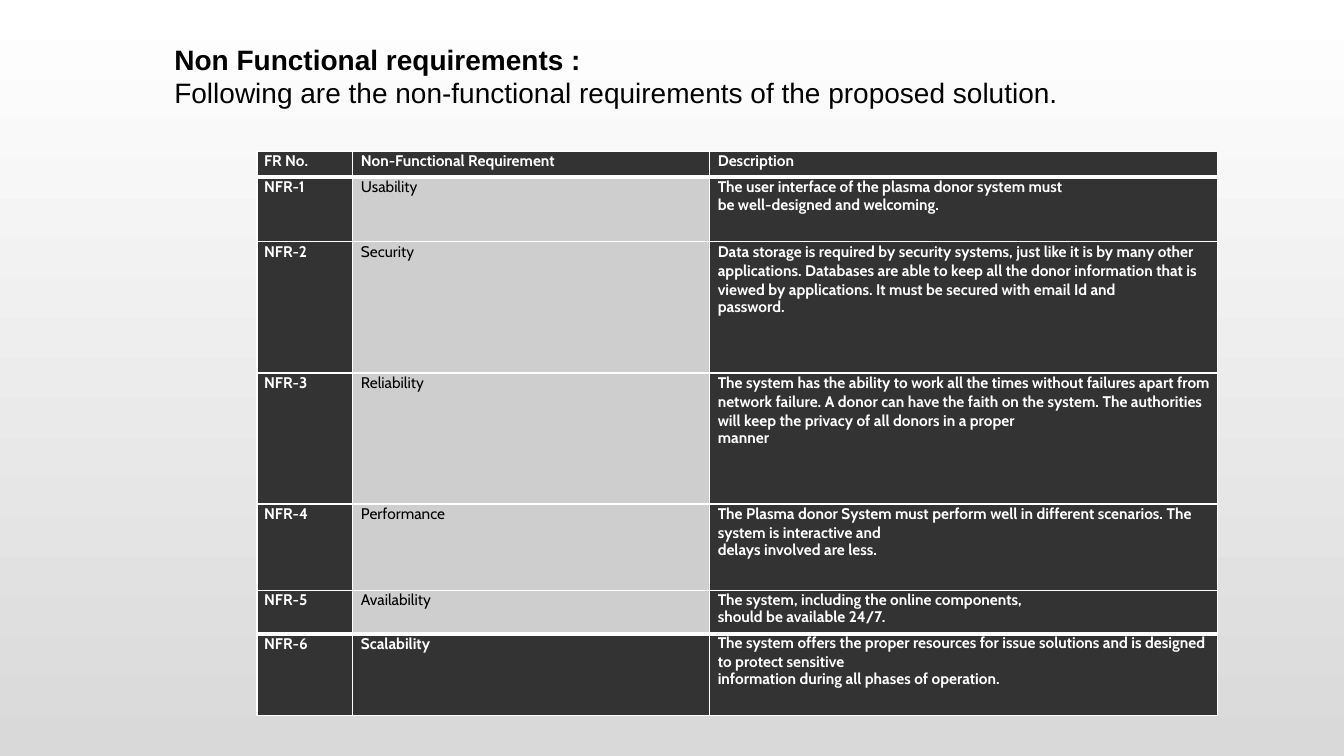
from pptx import Presentation
from pptx.dml.color import RGBColor
from pptx.enum.text import MSO_ANCHOR
from pptx.oxml import parse_xml
from pptx.oxml.ns import nsdecls
from pptx.util import Pt

WHITE = RGBColor(0xFF, 0xFF, 0xFF)
BLACK = RGBColor(0, 0, 0)
DARK = RGBColor(0x33, 0x33, 0x33)
LIGHT = RGBColor(0xCE, 0xCE, 0xCE)
SMOKE = RGBColor(0xD9, 0xD9, 0xD9)

WIDTHS = [68.4, 254.9, 362.9]
HEIGHTS = [18.7, 46.1, 93.6, 93.6, 61.9, 31, 58.3]
INDENTS = [5, 5.8, 5.8]
LEAD, TAIL = 13.7, 12.4

# Each row: number, requirement, lines of the description
ROWS = [
    ("FR No.", "Non-Functional Requirement", ["Description"]),
    ("NFR-1", "Usability",
     ["The user interface of the plasma donor system must",
      "be well-designed and welcoming."]),
    ("NFR-2", "Security",
     ["Data storage is required by security systems, just like it is by many "
      "other applications. Databases are able to keep all the donor "
      "information that is viewed by applications. It must be secured with "
      "email Id and",
      "password."]),
    ("NFR-3", "Reliability",
     ["The system has the ability to work all the times without failures "
      "apart from network failure. A donor can have the faith on the system. "
      "The authorities will keep the privacy of all donors in a proper",
      "manner"]),
    ("NFR-4", "Performance",
     ["The Plasma donor System must perform well in different scenarios. "
      "The system is interactive and",
      "delays involved are less."]),
    ("NFR-5", "Availability",
     ["The system, including the online components,",
      "should be available 24/7."]),
    ("NFR-6", "Scalability",
     ["The system offers the proper resources for issue solutions and is "
      "designed to protect sensitive",
      "information during all phases of operation."]),
]
LAST = len(ROWS) - 1
SPACING = {5: Pt(13.3), LAST: 0.98}  # first description line, where it differs


def write(para, text, size=11, font="Cabin", color=WHITE, bold=True,
          space=None, indent=0):
    """Put formatted text in a paragraph."""
    run = para.add_run()
    run.text = text
    run.font.size = Pt(size)
    run.font.name = font
    run.font.bold = bold
    run.font.color.rgb = color
    para.line_spacing = space
    if indent:
        props = para._p.get_or_add_pPr()
        props.set("marL", str(Pt(indent)))
        props.set("indent", "0")


def edge(cell, top, bottom):
    """Draw white borders round a cell."""
    props = cell._tc.get_or_add_tcPr()
    for side, width in zip("LRTB", (1, 1, top, bottom)):
        props.append(parse_xml(
            f'<a:ln{side} {nsdecls("a")} w="{Pt(width)}"><a:solidFill>'
            f'<a:srgbClr val="{WHITE}"/></a:solidFill></a:ln{side}>'))


def fill_cell(cell, row, col, lines):
    """Style one cell and write its lines."""
    plain = col == 1 and 0 < row < LAST
    edge(cell, 3 if row in (1, LAST) else 1, 3 if row in (0, LAST - 1) else 1)
    cell.fill.solid()
    cell.fill.fore_color.rgb = LIGHT if plain else DARK
    cell.margin_left = cell.margin_right = 0
    cell.margin_top = cell.margin_bottom = 0
    frame = cell.text_frame
    for i, line in enumerate(lines):
        para = frame.add_paragraph() if i else frame.paragraphs[0]
        space = Pt(TAIL) if i else Pt(LEAD)
        if col == 2 and i == 0:
            space = SPACING.get(row, space)
        write(para, line, color=BLACK if plain else WHITE, bold=not plain,
              space=space, indent=INDENTS[col])


def add_grid(slide):
    """Add the table of requirements."""
    table = slide.shapes.add_table(
        len(ROWS), len(WIDTHS), Pt(183.6), Pt(108),
        Pt(sum(WIDTHS)), Pt(sum(HEIGHTS))).table
    table.first_row = table.horz_banding = False
    for col, width in zip(table.columns, WIDTHS):
        col.width = Pt(width)
    for r, (code, name, lines) in enumerate(ROWS):
        table.rows[r].height = Pt(HEIGHTS[r])
        for c, texts in enumerate(([code], [name], lines)):
            fill_cell(table.cell(r, c), r, c, texts)


def add_title(slide):
    """Add the heading and its lead sentence."""
    box = slide.shapes.add_textbox(Pt(117.4), Pt(24.5), Pt(1412.6), Pt(77.8))
    frame = box.text_frame
    frame.word_wrap = True
    frame.vertical_anchor = MSO_ANCHOR.TOP
    frame.margin_top = Pt(5.5)
    write(frame.paragraphs[0], "Non Functional requirements :",
          size=20, font="Arial", color=BLACK)
    write(frame.add_paragraph(),
          "Following are the non-functional requirements of the proposed "
          "solution.", size=20, font="Arial", color=BLACK, bold=False)


def shade(slide):
    """Fade the background from grey at the foot to white at the top."""
    fill = slide.background.fill
    fill.gradient()
    fill.gradient_angle = 90
    for stop, color in zip(fill.gradient_stops, (SMOKE, WHITE)):
        stop.color.rgb = color


def main():
    """Build and save the slide."""
    deck = Presentation()
    deck.slide_width, deck.slide_height = Pt(960), Pt(540)
    slide = deck.slides.add_slide(deck.slide_layouts[6])
    shade(slide)
    add_grid(slide)
    add_title(slide)
    deck.save("out.pptx")


main()
